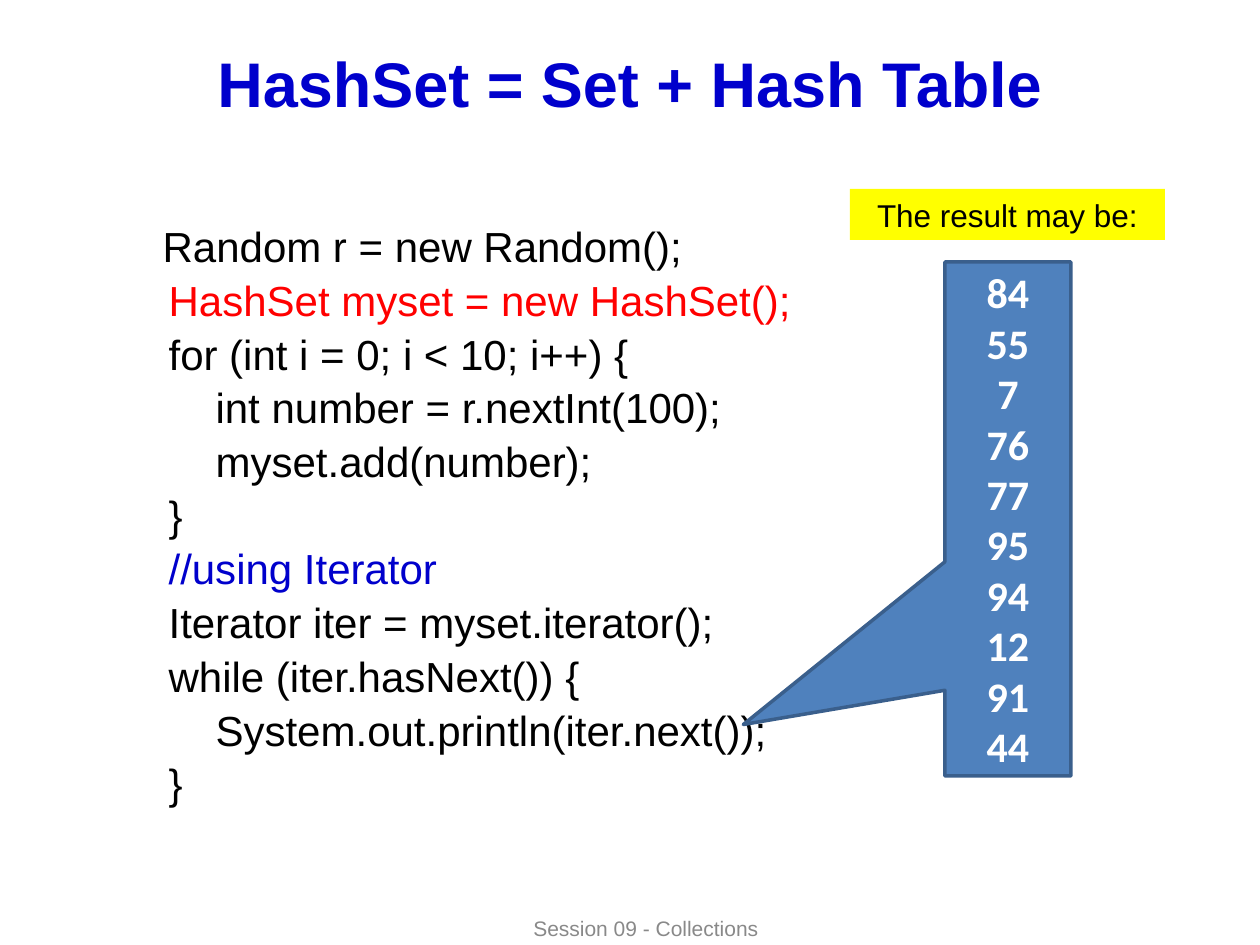
"""Build the HashSet slide with its code and a sample result."""
import pptx
import pptx.util
import pptx.dml.color
import pptx.enum.shapes
import pptx.enum.text
from lxml import etree

RGB = pptx.dml.color.RGBColor
BLACK = RGB(0, 0, 0)
WHITE = RGB(255, 255, 255)
RED = RGB(255, 0, 0)
BLUE = RGB(0, 0, 0xCC)
GREY = RGB(0x89, 0x89, 0x89)
YELLOW = RGB(255, 255, 0)
STEEL = RGB(0x4F, 0x81, 0xBD)
EDGE = RGB(0x3A, 0x5F, 0x8C)

SCALE = 914400 // 126
SHAPES = pptx.enum.shapes.MSO_SHAPE
ALIGN = pptx.enum.text.PP_ALIGN
MIDDLE = pptx.enum.text.MSO_ANCHOR.MIDDLE
FIXED = pptx.enum.text.MSO_AUTO_SIZE.NONE

TITLE = {"name": "Arial", "size": 36, "bold": True, "color": BLUE}
CODE = {"name": "Arial", "size": 24, "color": BLACK}
FOOT = {"name": "Arial", "size": 12, "color": GREY}
LABEL = {"name": "Arial", "size": 18, "color": BLACK}
RESULT = {"name": "Calibri", "size": 24, "bold": True, "color": WHITE}

LINES = [
    (87, "Random r = new Random();", BLACK),
    (93, "HashSet myset = new HashSet();", RED),
    (93, "for (int i = 0; i < 10; i++) {", BLACK),
    (140, "int number = r.nextInt(100);", BLACK),
    (140, "myset.add(number);", BLACK),
    (93, "}", BLACK),
    (93, "//using Iterator", BLUE),
    (93, "Iterator iter = myset.iterator();", BLACK),
    (93, "while (iter.hasNext()) {", BLACK),
    (140, "System.out.println(iter.next());", BLACK),
    (93, "}", BLACK),
]
VALUES = [84, 55, 7, 76, 77, 95, 94, 12, 91, 44]


def px(num):
    """Turn pixels into EMU."""
    return pptx.util.Emu(num * SCALE)


def place(shape, box):
    """Set the left, top, width and height of a shape."""
    for key, num in zip(("left", "top", "width", "height"), box):
        setattr(shape, key, px(num))


def style(font, look):
    """Apply a dict of format values to a font."""
    for key, val in look.items():
        if key == "color":
            font.color.rgb = val
        else:
            setattr(font, key, pptx.util.Pt(val) if key == "size" else val)


def write(shape, lines, look):
    """Fill a shape with centred lines of text."""
    frame = shape.text_frame
    frame.word_wrap = True
    frame.vertical_anchor = MIDDLE
    frame.text = "\n".join(lines)
    for para in frame.paragraphs:
        para.alignment = ALIGN.CENTER
        style(para.runs[0].font, look)


def add_code(body, lines):
    """Fill the body with code lines, each with its own indent."""
    frame = body.text_frame
    frame.auto_size = FIXED
    frame.text = "\n".join(text for _, text, _ in lines)
    for para, (left, _, tint) in zip(frame.paragraphs, lines):
        para.line_spacing = 0.9
        style(para.runs[0].font, {**CODE, "color": tint})
        props = para._p.get_or_add_pPr()
        props.set("marL", str(px(left)))
        props.set("indent", "0")
        etree.SubElement(props, pptx.oxml.ns.qn("a:buNone"))


def add_box(slide, kind, box, fill, edge=None):
    """Add a flat filled shape, with an outline if a colour is given."""
    shape = slide.shapes.add_shape(kind, *map(px, box))
    shape.shadow.inherit = False
    shape.fill.solid()
    shape.fill.fore_color.rgb = fill
    if edge is None:
        shape.line.fill.background()
    else:
        shape.line.color.rgb = edge
        shape.line.width = pptx.util.Pt(2)
    return shape


def main():
    """Build and save the slide."""
    deck = pptx.Presentation()
    deck.slide_width, deck.slide_height = px(1260), px(945)
    slide = deck.slides.add_slide(deck.slide_layouts[1])
    title, body = slide.placeholders

    foot = slide.shapes.add_textbox(*map(px, (336, 911, 620, 34)))
    write(foot, ["Session 09 - Collections"], FOOT)

    place(title, (63, 38, 1134, 88))
    write(title, ["HashSet = Set + Hash Table"], TITLE)
    place(body, (63, 220, 1134, 624))
    add_code(body, LINES)

    call = add_box(slide, SHAPES.RECTANGULAR_CALLOUT,
                   (945, 262, 126, 514), STEEL, EDGE)
    call.adjustments[0], call.adjustments[1] = -2.1, 0.4
    write(call, map(str, VALUES), RESULT)

    label = add_box(slide, SHAPES.RECTANGLE, (850, 189, 315, 51), YELLOW)
    write(label, ["The result may be:"], LABEL)
    deck.save("out.pptx")


main()
